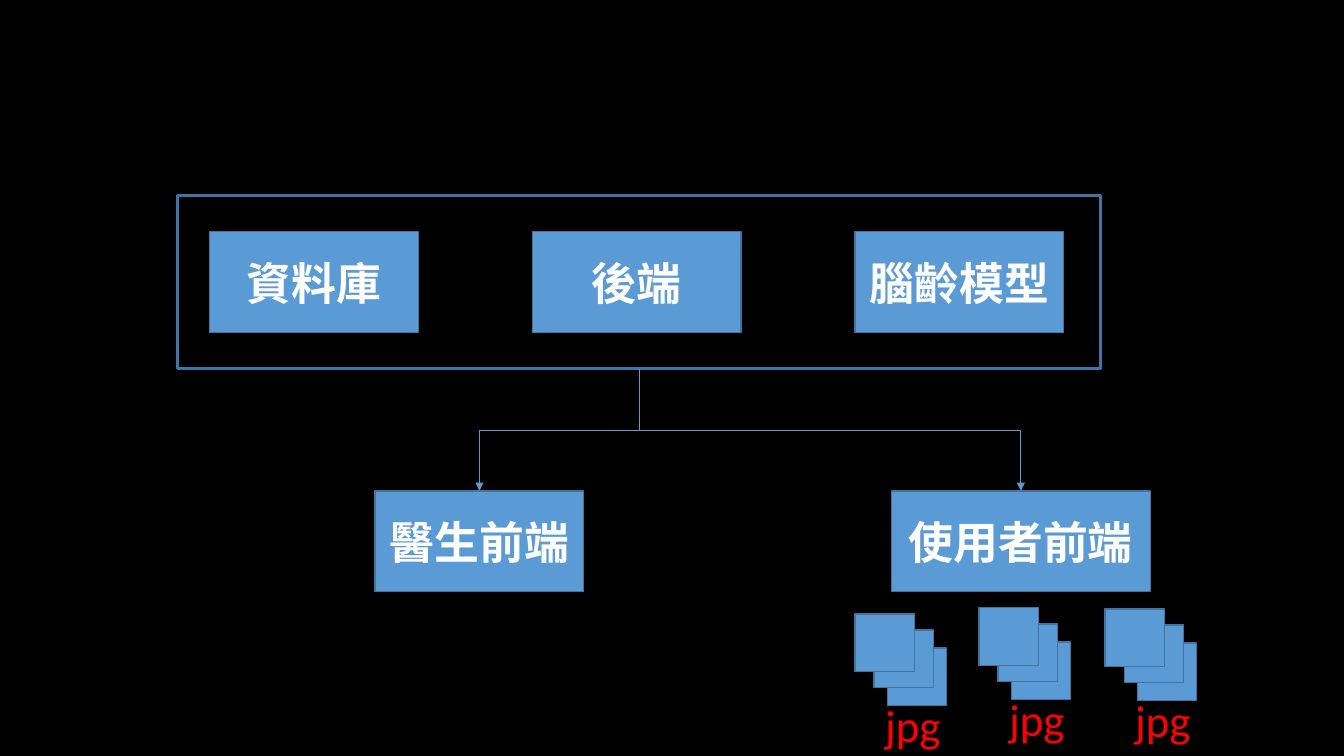
from pptx import Presentation
from pptx.dml.color import RGBColor
from pptx.enum import shapes, text
from pptx.oxml.ns import qn
from pptx.util import Inches, Pt
from lxml import etree

BLACK = RGBColor(0x00, 0x00, 0x00)
WHITE = RGBColor(0xFF, 0xFF, 0xFF)
BLUE = RGBColor(0x5B, 0x9B, 0xD5)
EDGE = RGBColor(0x43, 0x73, 0x9E)
RED = RGBColor(0xFF, 0x00, 0x00)
CJK_FONT = "Noto Sans CJK SC"
BOX_W, BOX_H = 2.07, 1


def write(tf, content, font, color, bold=False, align=None, size=32):
    p = tf.paragraphs[0]
    p.alignment = align
    r = p.add_run()
    r.text = content
    r.font.name, r.font.size, r.font.bold = font, Pt(size), bold
    r.font.color.rgb = color
    etree.SubElement(r.font._element, qn("a:ea")).set("typeface", font)


def add_rect(parent, x, y, w, h, fill=BLUE, line_width=1):
    sp = parent.add_shape(shapes.MSO_SHAPE.RECTANGLE,
                          Inches(x), Inches(y), Inches(w), Inches(h))
    sp.shadow.inherit = False
    if fill is None:
        sp.fill.background()
    else:
        sp.fill.solid()
        sp.fill.fore_color.rgb = fill
    sp.line.color.rgb = EDGE
    sp.line.width = Pt(line_width)
    return sp


def add_box(parent, label, x, y, w=BOX_W):
    sp = add_rect(parent, x, y, w, BOX_H)
    tf = sp.text_frame
    tf.word_wrap = True
    tf.vertical_anchor = text.MSO_ANCHOR.MIDDLE
    write(tf, label, CJK_FONT, WHITE, bold=True, align=text.PP_ALIGN.CENTER)
    return sp


def add_server(parent, x, y, w, h):
    """Outlined frame holding three evenly spaced boxes."""
    frame = add_rect(parent, x, y, w, h, fill=None, line_width=2.25)
    for i, label in enumerate(["資料庫", "後端", "腦齡模型"]):
        add_box(parent, label, x + 0.32 + 3.2 * i, y + 0.36)
    return frame


def add_branch(parent, source, target):
    """Elbow arrow from the bottom of source down to the top of target."""
    x1, y1 = source.left + source.width // 2, source.top + source.height
    x2, y2 = target.left + target.width // 2, target.top
    c = parent.add_connector(shapes.MSO_CONNECTOR.ELBOW, x1, y1, x2, y2)
    c.begin_connect(source, 2)
    c.end_connect(target, 0)
    # The elbow runs sideways by default, so turn it to run downwards
    c.width, c.height = y2 - y1, abs(x2 - x1)
    c.left = (x1 + x2 - c.width) // 2
    c.top = (y1 + y2 - c.height) // 2
    to_right = x2 > x1
    xfrm = c._element.spPr.find(qn("a:xfrm"))
    xfrm.set("rot", str((270 if to_right else 90) * 60000))
    xfrm.set("flipH", "1" if to_right else "0")
    # Line, arrowhead, no shadow
    c.line.color.rgb = BLUE
    c.line.width = Pt(0.5)
    ln = c.line._get_or_add_ln()
    etree.SubElement(ln, qn("a:tailEnd")).set("type", "triangle")
    etree.SubElement(c._element.spPr, qn("a:effectLst"))


def add_jpg_stack(parent, x, y):
    """Group of three overlapping sheets with a caption."""
    group = parent.add_group_shape().shapes
    for dx, dy in [(0.32, 0.34), (0.19, 0.16), (0, 0)]:
        add_rect(group, x + dx, y + dy, 0.59, 0.57)
    tb = group.add_textbox(Inches(x + 0.2), Inches(y + 0.78),
                           Inches(0.92), Inches(0.64))
    tb.text_frame.word_wrap = True
    write(tb.text_frame, "jpg", "Calibri", RED)


def main():
    prs = Presentation()
    prs.slide_width, prs.slide_height = Inches(13.33), Inches(7.5)
    slide = prs.slides.add_slide(prs.slide_layouts[6])
    slide.background.fill.solid()
    slide.background.fill.fore_color.rgb = BLACK
    parts = slide.shapes

    # Server side
    server = add_server(parts, 1.76, 1.94, 9.16, 1.72)

    # Front ends
    doctor = add_box(parts, "醫生前端", 3.72, 4.87)
    user = add_box(parts, "使用者前端", 8.84, 4.87, w=2.57)
    for front_end in (user, doctor):
        add_branch(parts, server, front_end)

    # Image stacks below the user front end
    for x, y in [(8.48, 6.09), (9.71, 6.03), (10.96, 6.04)]:
        add_jpg_stack(parts, x, y)

    prs.save("out.pptx")


if __name__ == "__main__":
    main()
